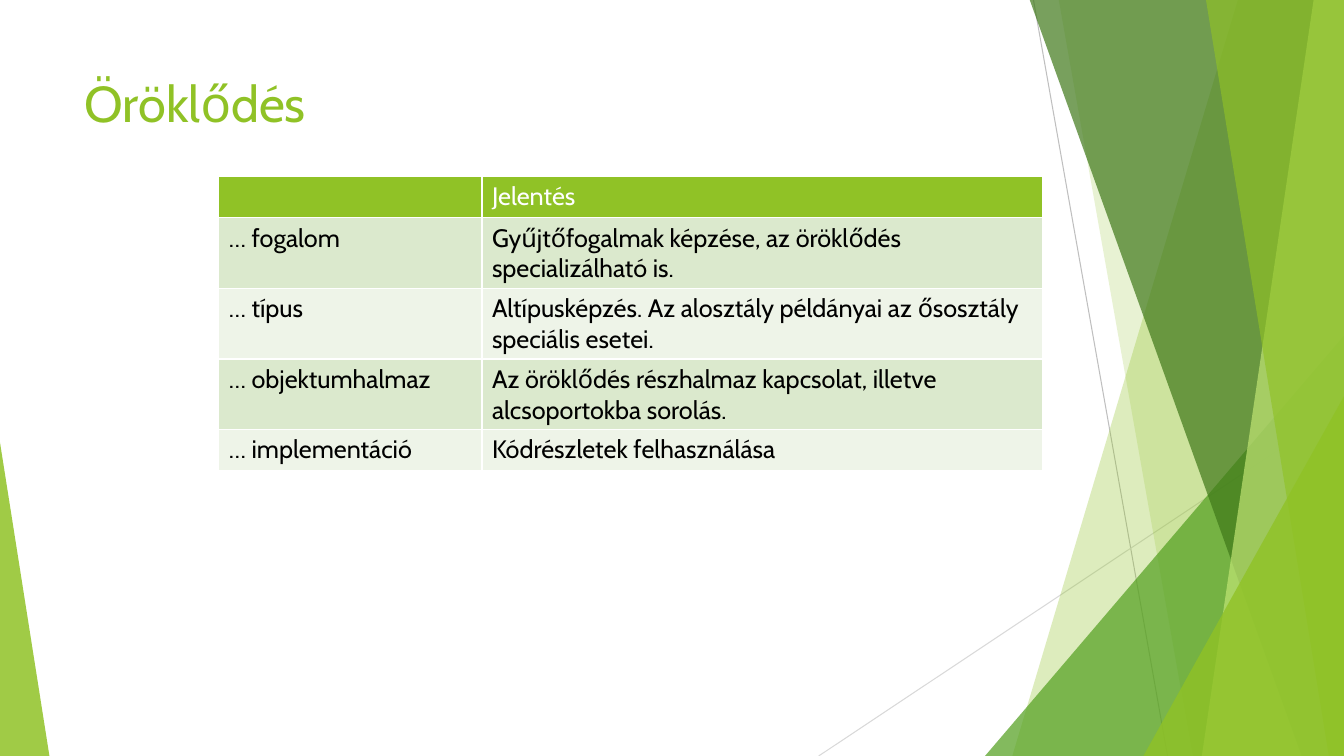
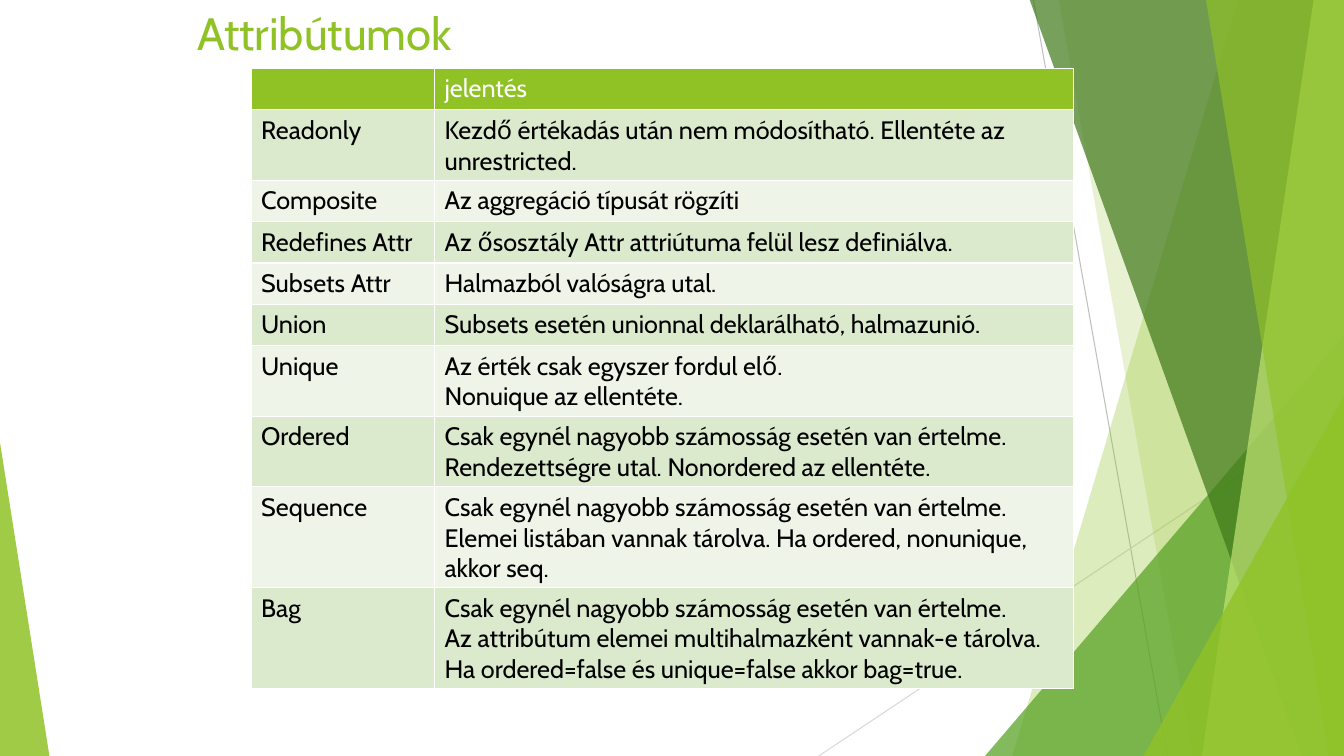
"""Build two slides on object-oriented inheritance and attributes."""
from lxml import etree
from pptx import Presentation
from pptx import util as u
from pptx.dml.color import RGBColor
from pptx.enum import shapes, text
from pptx.oxml.ns import qn

In = u.Inches
FONT = "Cabin"
C = {
    "lime": "90C226", "green": "54A021", "dark": "3F7819", "pale": "C0E474",
    "steep_line": "BFBFBF", "flat_line": "D9D9D9",
    "odd_row": "DBE9CD", "even_row": "EEF4E8", "white": "FFFFFF", "black": "000000",
}
WIDTH, HEIGHT, BAND_TOP = 13.33, 7.5, -0.01

LINES = [("steep_line", 10.25, 0, 11.58, HEIGHT), ("flat_line", WIDTH, 4.03, 8.12, HEIGHT)]

# kind, colour, opacity, then (top x, bottom x) or (left, top, width, apex)
FACETS = [
    ("band", "lime", 30, (12.28, 10.04)),
    ("band", "lime", 20, (10.5, 11.83)),
    ("triangle", "green", 72, (9.77, 3.33, 3.56, 1)),
    ("band", "dark", 70, (10.21, 12.91)),
    ("band", "pale", 70, (13.03, 11.92)),
    ("band", "lime", 65, (11.96, 13.18)),
    ("triangle", "lime", 80, (11.34, 3.93, 1.99, 1)),
    ("triangle", "lime", 85, (0, 4.39, 0.49, 0)),
]

SLIDES = [
    {
        "title": "Öröklődés", "size": 36, "title_box": (0.74, 0.67, 9.4, 1.44),
        "table_at": (2.17, 1.75), "cols": (2.61, 5.56),
        "rows": [
            ("", "Jelentés"),
            ("… fogalom", "Gyűjtőfogalmak képzése, az öröklődés specializálható is."),
            ("… típus", "Altípusképzés. Az alosztály példányai az ősosztály speciális esetei."),
            ("… objektumhalmaz", "Az öröklődés részhalmaz kapcsolat, illetve alcsoportokba sorolás."),
            ("… implementáció", "Kódrészletek felhasználása"),
        ],
    },
    {
        "title": "Attribútumok", "size": 32.4, "title_box": (1.86, 0, 8.17, 0.61),
        "table_at": (2.49, 0.68), "cols": (1.82, 6.34),
        "rows": [
            ("", "jelentés"),
            ("Readonly", "Kezdő értékadás után nem módosítható. Ellentéte az unrestricted."),
            ("Composite", "Az aggregáció típusát rögzíti"),
            ("Redefines Attr", "Az ősosztály Attr attriútuma felül lesz definiálva."),
            ("Subsets Attr", "Halmazból valóságra utal."),
            ("Union", "Subsets esetén unionnal deklarálható, halmazunió."),
            ("Unique", "Az érték csak egyszer fordul elő.\nNonuique az ellentéte."),
            ("Ordered", "Csak egynél nagyobb számosság esetén van értelme. "
                        "Rendezettségre utal. Nonordered az ellentéte."),
            ("Sequence", "Csak egynél nagyobb számosság esetén van értelme. "
                         "Elemei listában vannak tárolva. Ha ordered, nonunique, akkor seq."),
            ("Bag", "Csak egynél nagyobb számosság esetén van értelme.\n"
                    "Az attribútum elemei multihalmazként vannak-e tárolva. "
                    "Ha ordered=false és unique=false akkor bag=true."),
        ],
    },
]


def add_text(tf, content, size=18, color="black"):
    tf.word_wrap = True
    tf.text = content
    for p in tf.paragraphs:
        p.font.size = u.Pt(size)
        for r in p.runs:
            r.font.name = FONT
            r.font.size = u.Pt(size)
            r.font.bold = False
            r.font.color.rgb = RGBColor.from_string(C[color])


def add_borders(cell, color="white", width=1):
    tc_pr = cell._tc.get_or_add_tcPr()
    for side in ("lnL", "lnR", "lnT", "lnB"):
        ln = etree.SubElement(tc_pr, qn(f"a:{side}"), w=str(u.Pt(width)))
        fill = etree.SubElement(ln, qn("a:solidFill"))
        etree.SubElement(fill, qn("a:srgbClr"), val=C[color])


prs = Presentation()
prs.slide_width, prs.slide_height = In(WIDTH), In(HEIGHT)
blank = prs.slide_layouts[6]
slides = [prs.slides.add_slide(blank) for _ in SLIDES]

draft = slides[0].shapes
for color, x1, y1, x2, y2 in LINES:
    line = draft.add_connector(shapes.MSO_CONNECTOR.STRAIGHT, In(x1), In(y1), In(x2), In(y2))
    line.line.color.rgb = RGBColor.from_string(C[color])
    line.line.width = u.Pt(0.75)
    etree.SubElement(line.element.spPr, qn("a:effectLst"))

for kind, color, opacity, place in FACETS:
    if kind == "band":
        top_x, bottom_x = place
        outline = draft.build_freeform(In(top_x), In(BAND_TOP))
        corners = [(WIDTH, BAND_TOP), (WIDTH, HEIGHT), (bottom_x, HEIGHT)]
        outline.add_line_segments([(In(x), In(y)) for x, y in corners], close=True)
        sp = outline.convert_to_shape()
    else:
        left, top, width, apex = place
        sp = draft.add_shape(shapes.MSO_SHAPE.ISOSCELES_TRIANGLE,
                             In(left), In(top), In(width), In(HEIGHT - top))
        sp.adjustments[0] = apex
    sp.shadow.inherit = False
    sp.line.fill.background()
    sp.fill.solid()
    sp.fill.fore_color.rgb = RGBColor.from_string(C[color])
    rgb = sp.element.spPr.find(qn("a:solidFill")).find(qn("a:srgbClr"))
    etree.SubElement(rgb, qn("a:alpha"), val=str(opacity * 1000))

for sp in list(draft):
    blank.shapes.element.append(sp.element)

for s, data in zip(slides, SLIDES):
    title = s.shapes.add_textbox(*map(In, data["title_box"]))
    title.text_frame.vertical_anchor = text.MSO_ANCHOR.TOP
    add_text(title.text_frame, data["title"], size=data["size"], color="lime")

    rows, cols = data["rows"], data["cols"]
    left, top = data["table_at"]
    table = s.shapes.add_table(len(rows), len(cols), In(left), In(top),
                               In(sum(cols)), In(0.41 * len(rows))).table
    for column, width in zip(table.columns, cols):
        column.width = In(width)
    for i, row in enumerate(rows):
        table.rows[i].height = In(0.41)
        fill = "lime" if i == 0 else "odd_row" if i % 2 else "even_row"
        for j, content in enumerate(row):
            cell = table.cell(i, j)
            add_text(cell.text_frame, content, color="black" if i else "white")
            add_borders(cell)
            cell.fill.solid()
            cell.fill.fore_color.rgb = RGBColor.from_string(C[fill])

prs.save("out.pptx")
